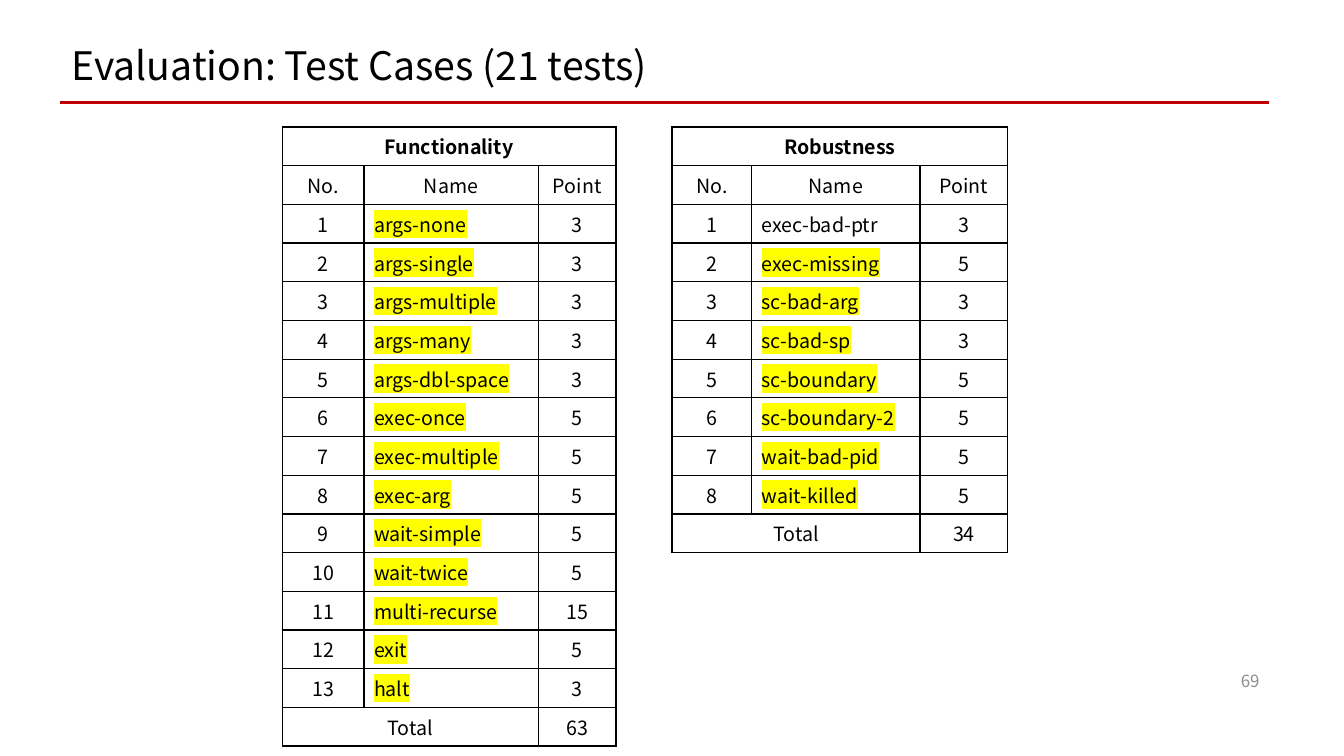
from dataclasses import dataclass

from lxml.etree import SubElement
from pptx import Presentation
from pptx.dml.color import RGBColor
from pptx.enum.shapes import MSO_CONNECTOR
from pptx.enum.text import MSO_ANCHOR, MSO_AUTO_SIZE, PP_ALIGN
from pptx.oxml import parse_xml
from pptx.oxml.ns import nsdecls, qn
from pptx.slide import Slide
from pptx.table import _Cell
from pptx.text.text import TextFrame
from pptx.util import Inches, Pt

SLIDE_WIDTH, SLIDE_HEIGHT = Inches(13.33), Inches(7.5)


@dataclass(frozen=True)
class Theme:
    font: str = "Noto Sans CJK KR"
    ink: str = "000000"
    muted: str = "8C8C8C"
    accent: str = "C00000"
    highlight: str = "FFFF00"
    title_size: int = 28
    table_size: int = 14
    number_size: int = 12
    rule_width: float = 2.25
    border_width: float = 1


@dataclass(frozen=True)
class TestCase:
    name: str
    points: int
    highlighted: bool = True


@dataclass(frozen=True)
class TestSuite:
    """Left edge and column widths are percentages of the slide width."""
    title: str
    left: float
    columns: tuple[float, float, float]
    row_height: float
    cases: tuple[TestCase, ...]


THEME = Theme()
TABLE_TOP = 16.8

SUITES = (
    TestSuite("Functionality", 21, (6.08, 12.98, 5.78), 4.93, (
        TestCase("args-none", 3),
        TestCase("args-single", 3),
        TestCase("args-multiple", 3),
        TestCase("args-many", 3),
        TestCase("args-dbl-space", 3),
        TestCase("exec-once", 5),
        TestCase("exec-multiple", 5),
        TestCase("exec-arg", 5),
        TestCase("wait-simple", 5),
        TestCase("wait-twice", 5),
        TestCase("multi-recurse", 15),
        TestCase("exit", 5),
        TestCase("halt", 3),
    )),
    TestSuite("Robustness", 50, (5.93, 12.53, 6.53), 4.86, (
        TestCase("exec-bad-ptr", 3, highlighted=False),
        TestCase("exec-missing", 5),
        TestCase("sc-bad-arg", 3),
        TestCase("sc-bad-sp", 3),
        TestCase("sc-boundary", 5),
        TestCase("sc-boundary-2", 5),
        TestCase("wait-bad-pid", 5),
        TestCase("wait-killed", 5),
    )),
)


def across(percent: float) -> int:
    return round(SLIDE_WIDTH * percent / 100)


def down(percent: float) -> int:
    return round(SLIDE_HEIGHT * percent / 100)


def write(frame: TextFrame, text: str, size: int, color: str = THEME.ink,
          align: PP_ALIGN = PP_ALIGN.LEFT, bold: bool = False,
          highlighted: bool = False) -> None:
    frame.text = text
    para = frame.paragraphs[0]
    para.alignment = align
    span = para.runs[0]
    span.font.size = Pt(size)
    span.font.bold = bold
    span.font.name = THEME.font
    span.font.color.rgb = RGBColor.from_string(color)
    if highlighted:
        mark = parse_xml(f'<a:highlight {nsdecls("a")}>'
                         f'<a:srgbClr val="{THEME.highlight}"/></a:highlight>')
        span.font._element.find(qn("a:solidFill")).addnext(mark)


def style_cell(cell: _Cell) -> None:
    """Clear the fill and draw a thin line on all four sides."""
    cell.fill.background()
    cell.vertical_anchor = MSO_ANCHOR.MIDDLE
    properties = cell._tc.get_or_add_tcPr()
    for position, side in enumerate(("lnL", "lnR", "lnT", "lnB")):
        properties.insert(position, parse_xml(
            f'<a:{side} {nsdecls("a")} w="{Pt(THEME.border_width)}">'
            f'<a:solidFill><a:srgbClr val="{THEME.ink}"/></a:solidFill></a:{side}>'))


def add_title(page: Slide, text: str) -> None:
    title = page.shapes.title
    title.left, title.top = across(4.58), down(5.47)
    title.width, title.height = across(86.27), down(7.07)
    frame = title.text_frame
    frame.auto_size = MSO_AUTO_SIZE.NONE
    frame.vertical_anchor = MSO_ANCHOR.MIDDLE
    write(frame, text, THEME.title_size)
    frame.paragraphs[0].line_spacing = 0.9


def add_title_rule(page: Slide) -> None:
    rule = page.shapes.add_connector(MSO_CONNECTOR.STRAIGHT, across(4.43), down(13.6),
                                     across(94.45), down(13.6))
    rule.line.color.rgb = RGBColor.from_string(THEME.accent)
    rule.line.width = Pt(THEME.rule_width)
    SubElement(rule._element.spPr, qn("a:effectLst"))


def add_page_number(page: Slide, number: int) -> None:
    box = page.shapes.add_textbox(across(90.77), down(87.33), across(3.68), down(5.33))
    box.text_frame.word_wrap = True
    box.text_frame.vertical_anchor = MSO_ANCHOR.MIDDLE
    write(box.text_frame, str(number), THEME.number_size, THEME.muted, PP_ALIGN.RIGHT)


def add_suite(page: Slide, suite: TestSuite) -> None:
    total = sum(case.points for case in suite.cases)
    rows = [(suite.title, "", ""), ("No.", "Name", "Point")]
    rows += [(str(number), case.name, str(case.points))
             for number, case in enumerate(suite.cases, 1)]
    rows.append(("Total", "", str(total)))

    table = page.shapes.add_table(
        len(rows), 3, across(suite.left), down(TABLE_TOP),
        across(sum(suite.columns)), down(suite.row_height * len(rows))).table
    table.first_row = table.horz_banding = False
    for column, width in zip(table.columns, suite.columns):
        column.width = across(width)
    for row in table.rows:
        row.height = down(suite.row_height)

    last = len(rows) - 1
    table.cell(0, 0).merge(table.cell(0, 2))
    table.cell(last, 0).merge(table.cell(last, 1))
    for row_index, texts in enumerate(rows):
        is_case = 2 <= row_index < last
        for column_index, text in enumerate(texts):
            cell = table.cell(row_index, column_index)
            style_cell(cell)
            if not text:
                continue
            is_name = is_case and column_index == 1
            write(cell.text_frame, text, THEME.table_size,
                  align=PP_ALIGN.LEFT if is_name else PP_ALIGN.CENTER,
                  bold=row_index == 0,
                  highlighted=is_name and suite.cases[row_index - 2].highlighted)


def main() -> None:
    deck = Presentation()
    deck.slide_width, deck.slide_height = SLIDE_WIDTH, SLIDE_HEIGHT
    title_only = deck.slide_layouts.get_by_name("Title Only")
    page = deck.slides.add_slide(title_only)
    for suite in SUITES:
        add_suite(page, suite)
    add_title(page, "Evaluation: Test Cases (21 tests)")
    add_title_rule(page)
    add_page_number(page, 69)
    deck.save("out.pptx")


if __name__ == "__main__":
    main()
